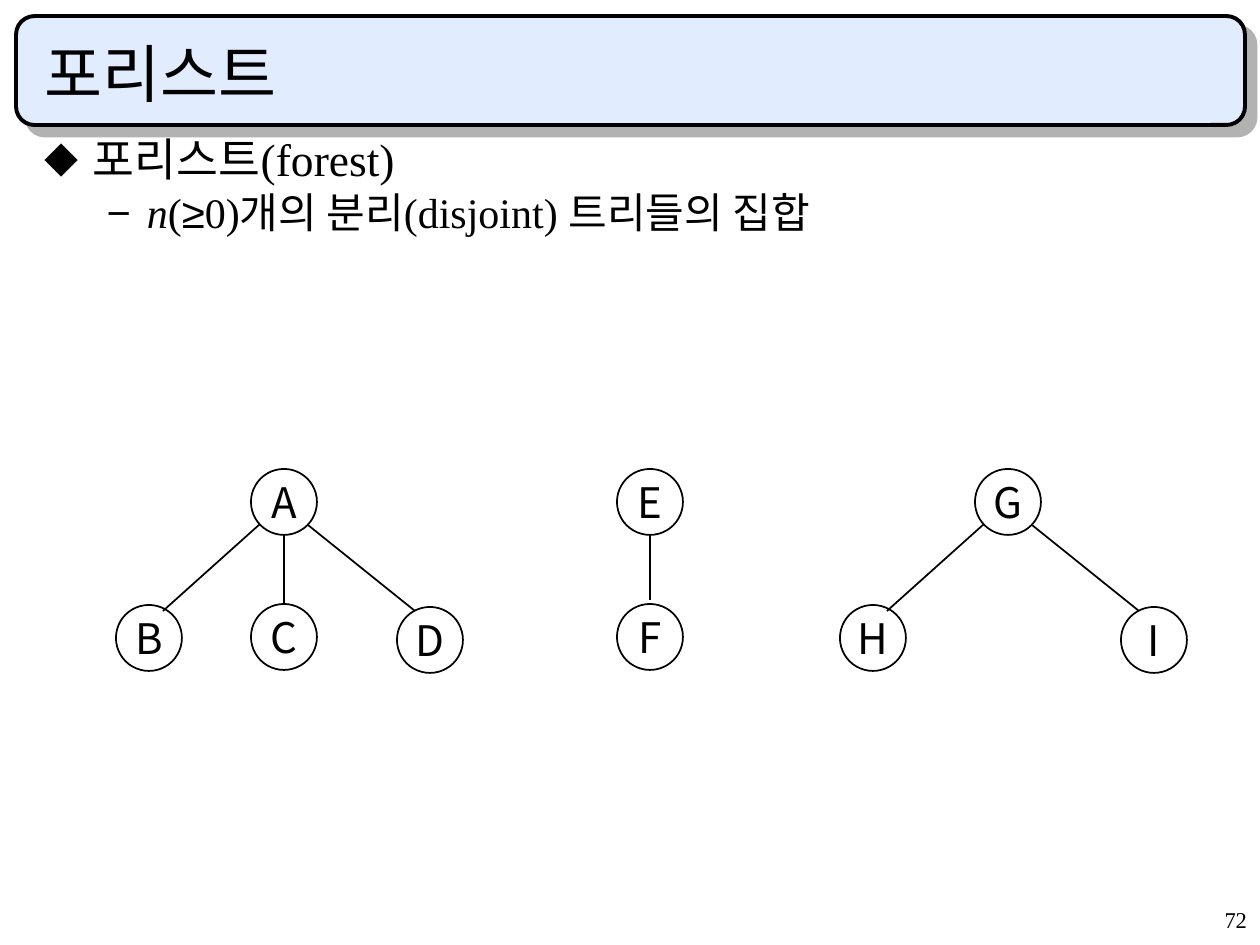
from dataclasses import dataclass
from typing import Any

from lxml import etree
from pptx import Presentation
from pptx.dml.color import RGBColor
from pptx.enum.shapes import MSO_CONNECTOR, MSO_SHAPE
from pptx.enum.text import MSO_ANCHOR, PP_ALIGN
from pptx.oxml.ns import qn
from pptx.util import Pt

STRAIGHT = MSO_CONNECTOR.STRAIGHT
ELLIPSE, ROUNDED = MSO_SHAPE.OVAL, MSO_SHAPE.ROUNDED_RECTANGLE
TOP, MIDDLE, BOTTOM = MSO_ANCHOR.TOP, MSO_ANCHOR.MIDDLE, MSO_ANCHOR.BOTTOM
LEFT, CENTER, RIGHT = PP_ALIGN.LEFT, PP_ALIGN.CENTER, PP_ALIGN.RIGHT

EMU_PER_PX = 914400 / 126
NODE_SIZE = 66
ROOT_TOP = 469


@dataclass(frozen=True)
class Theme:
    ink: str = "000000"
    banner: str = "E1ECFF"
    shadow: str = "B2B2B2"
    serif: str = "Times New Roman"
    sans: str = "Arial"
    korean: str = "Noto Sans CJK KR"
    title_size: float = 36
    topic_size: float = 26
    detail_size: float = 24
    node_size: float = 24
    number_size: float = 12.9
    banner_line: float = 2.25
    node_line: float = 1
    thin_line: float = 0.75


THEME = Theme()


@dataclass(frozen=True)
class Run:
    text: str
    size: float
    font: str = THEME.serif
    italic: bool = False


@dataclass(frozen=True)
class Bullet:
    character: str
    margin: int
    hanging: int
    percent: int = 100


@dataclass(frozen=True)
class Line:
    runs: tuple[Run, ...]
    bullet: Bullet | None = None
    format: tuple[tuple[str, Any], ...] = ()


@dataclass(frozen=True)
class Branch:
    """Child position and edge ends, measured from the root's top left corner."""
    child: tuple[int, int]
    start: tuple[int, int]
    end: tuple[int, int]
    width: float = THEME.node_line


@dataclass(frozen=True)
class Tree:
    root: str
    left: int
    children: tuple[tuple[str, Branch], ...]


TO_LEFT = Branch((-135, 136), (9, 55), (-88, 142))
TO_RIGHT = Branch((146, 138), (57, 56), (164, 142))
DOWN = Branch((0, 135), (33, 65), (33, 135), THEME.thin_line)
ONLY = Branch((0, 135), (33, 66), (33, 131))

FOREST = (
    Tree("A", 251, (("B", TO_LEFT), ("C", DOWN), ("D", TO_RIGHT))),
    Tree("E", 617, (("F", ONLY),)),
    Tree("G", 975, (("H", TO_LEFT), ("I", TO_RIGHT))),
)

BODY = (
    Line((Run("포리스트(forest)", THEME.topic_size),),
         Bullet("◆", 48, 48, 75), (("line_spacing", 0.8),)),
    Line((Run("n", THEME.detail_size, italic=True),
          Run("(", THEME.detail_size),
          Run("≥", THEME.detail_size, THEME.sans),
          Run("0)개의 분리(disjoint) 트리들의 집합", THEME.detail_size)),
         Bullet("−", 102, 39),
         (("level", 1), ("line_spacing", 0.8), ("space_before", Pt(6)))),
)


def px(length: int) -> int:
    return round(length * EMU_PER_PX)


def color(value: str) -> RGBColor:
    return RGBColor.from_string(value)


def set_values(target: Any, values: dict[str, Any]) -> None:
    for name, value in values.items():
        setattr(target, name, value)


def add_bullet(paragraph: Any, bullet: Bullet) -> None:
    properties = paragraph._p.get_or_add_pPr()
    properties.set("marL", str(px(bullet.margin)))
    properties.set("indent", str(-px(bullet.hanging)))
    bullet_color = etree.SubElement(properties, qn("a:buClr"))
    etree.SubElement(bullet_color, qn("a:srgbClr"), val=THEME.ink)
    etree.SubElement(properties, qn("a:buSzPct"), val=str(bullet.percent * 1000))
    etree.SubElement(properties, qn("a:buFont"), typeface=THEME.korean)
    etree.SubElement(properties, qn("a:buChar"), char=bullet.character)


def write_lines(shape: Any, lines: tuple[Line, ...], anchor: Any, wrap: bool = True) -> None:
    frame = shape.text_frame
    set_values(frame, {
        "word_wrap": wrap, "vertical_anchor": anchor,
        "margin_left": px(13), "margin_right": px(13),
        "margin_top": px(6), "margin_bottom": px(6)})
    for index, line in enumerate(lines):
        paragraph = frame.add_paragraph() if index else frame.paragraphs[0]
        if line.bullet:
            add_bullet(paragraph, line.bullet)
        set_values(paragraph, dict(line.format))
        for item in line.runs:
            run = paragraph.add_run()
            run.text = item.text
            set_values(run.font, {
                "name": item.font, "size": Pt(item.size), "italic": item.italic})
            run.font.color.rgb = color(THEME.ink)
            etree.SubElement(run._r.get_or_add_rPr(), qn("a:ea"), typeface=THEME.korean)


def add_text(slide: Any, box: tuple[int, int, int, int], lines: tuple[Line, ...],
             anchor: Any) -> None:
    write_lines(slide.shapes.add_textbox(*map(px, box)), lines, anchor)


def set_outline(shape: Any, width: float) -> None:
    shape.line.color.rgb = color(THEME.ink)
    shape.line.width = Pt(width)


def add_banner(slide: Any) -> None:
    banner = slide.shapes.add_shape(ROUNDED, *map(px, (16, 16, 1229, 109)))
    banner.adjustments[0] = 0.17
    banner.fill.solid()
    banner.fill.fore_color.rgb = color(THEME.banner)
    set_outline(banner, THEME.banner_line)
    effects = etree.SubElement(banner._element.spPr, qn("a:effectLst"))
    shadow = etree.SubElement(effects, qn("a:outerShdw"), dist=str(Pt(8.5)),
                              dir=str(45 * 60000), algn="ctr", rotWithShape="0")
    etree.SubElement(shadow, qn("a:srgbClr"), val=THEME.shadow)


def add_node(slide: Any, label: str, left: int, top: int) -> None:
    node = slide.shapes.add_shape(ELLIPSE, *map(px, (left, top, NODE_SIZE, NODE_SIZE)))
    node.shadow.inherit = False
    node.fill.background()
    set_outline(node, THEME.node_line)
    line = Line((Run(label, THEME.node_size, THEME.korean),), format=(("alignment", CENTER),))
    write_lines(node, (line,), MIDDLE, wrap=False)


def add_tree(slide: Any, tree: Tree) -> None:
    def place(offset: tuple[int, int]) -> tuple[int, int]:
        return tree.left + offset[0], ROOT_TOP + offset[1]

    add_node(slide, tree.root, tree.left, ROOT_TOP)
    for label, branch in tree.children:
        add_node(slide, label, *place(branch.child))
        ends = place(branch.start) + place(branch.end)
        edge = slide.shapes.add_connector(STRAIGHT, *map(px, ends))
        set_outline(edge, branch.width)
        etree.SubElement(edge._element.spPr, qn("a:effectLst"))


def main() -> None:
    presentation = Presentation()
    set_values(presentation, {"slide_width": px(1260), "slide_height": px(945)})
    slide = presentation.slides.add_slide(presentation.slide_layouts[6])
    add_banner(slide)
    title = Line((Run("포리스트", THEME.title_size, THEME.korean),), format=(("alignment", LEFT),))
    number = Line((Run("72", THEME.number_size),),
                  format=(("alignment", RIGHT), ("line_spacing", 0.9)))
    add_text(slide, (998, 903, 262, 42), (number,), TOP)
    add_text(slide, (32, 32, 1187, 84), (title,), BOTTOM)
    add_text(slide, (32, 136, 1187, 127), BODY, TOP)
    for tree in FOREST:
        add_tree(slide, tree)
    presentation.save("out.pptx")


if __name__ == "__main__":
    main()
